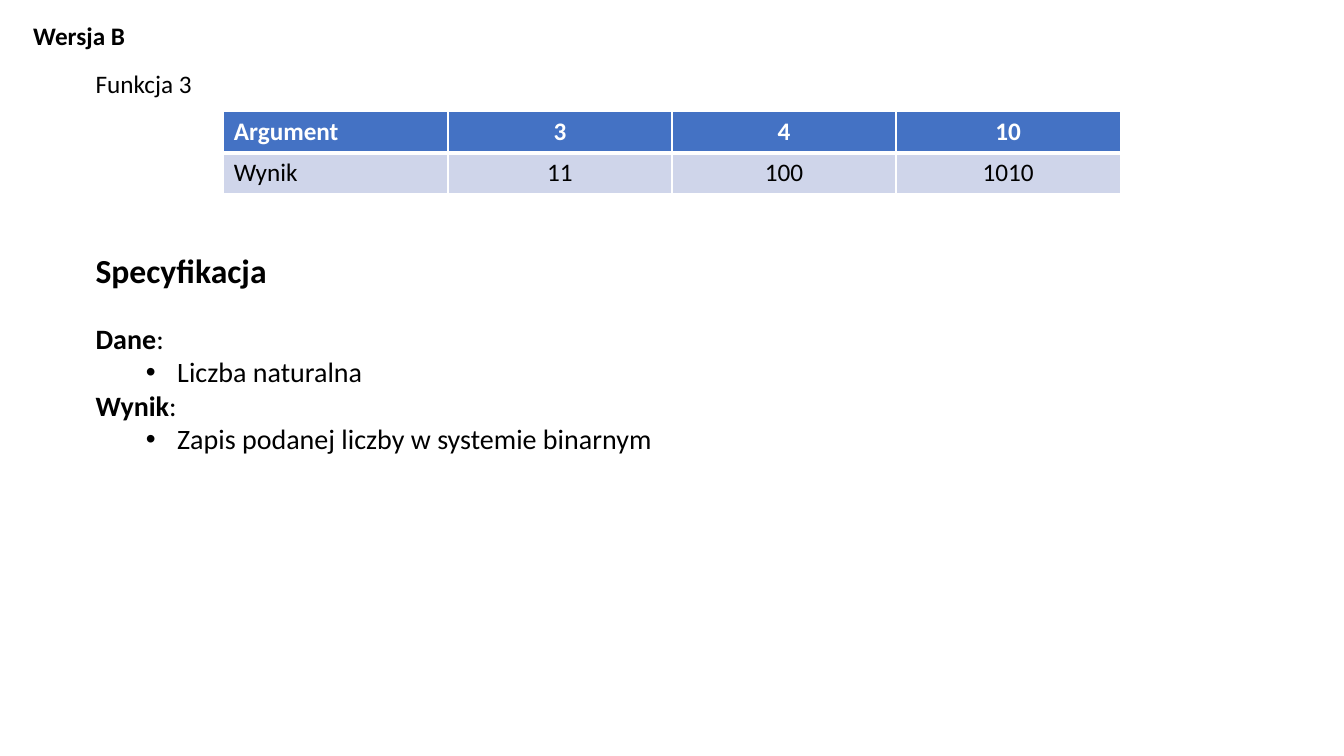
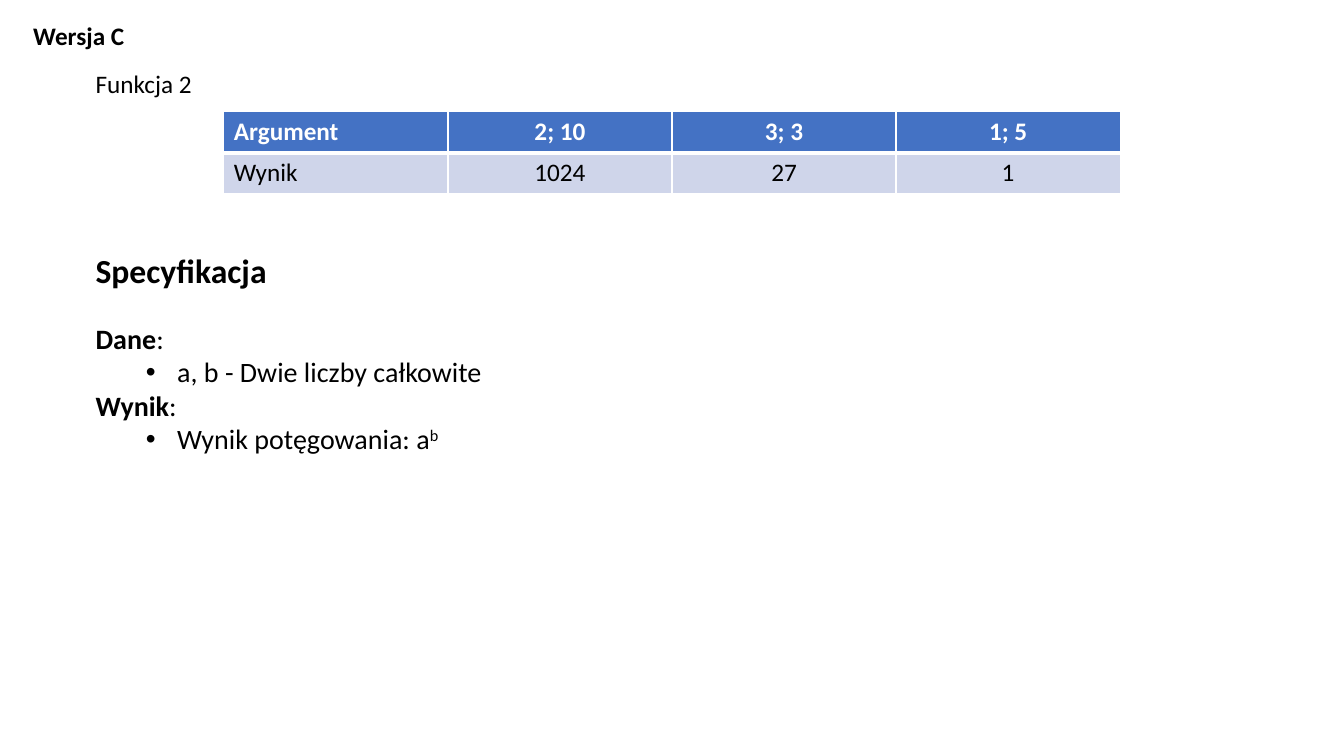
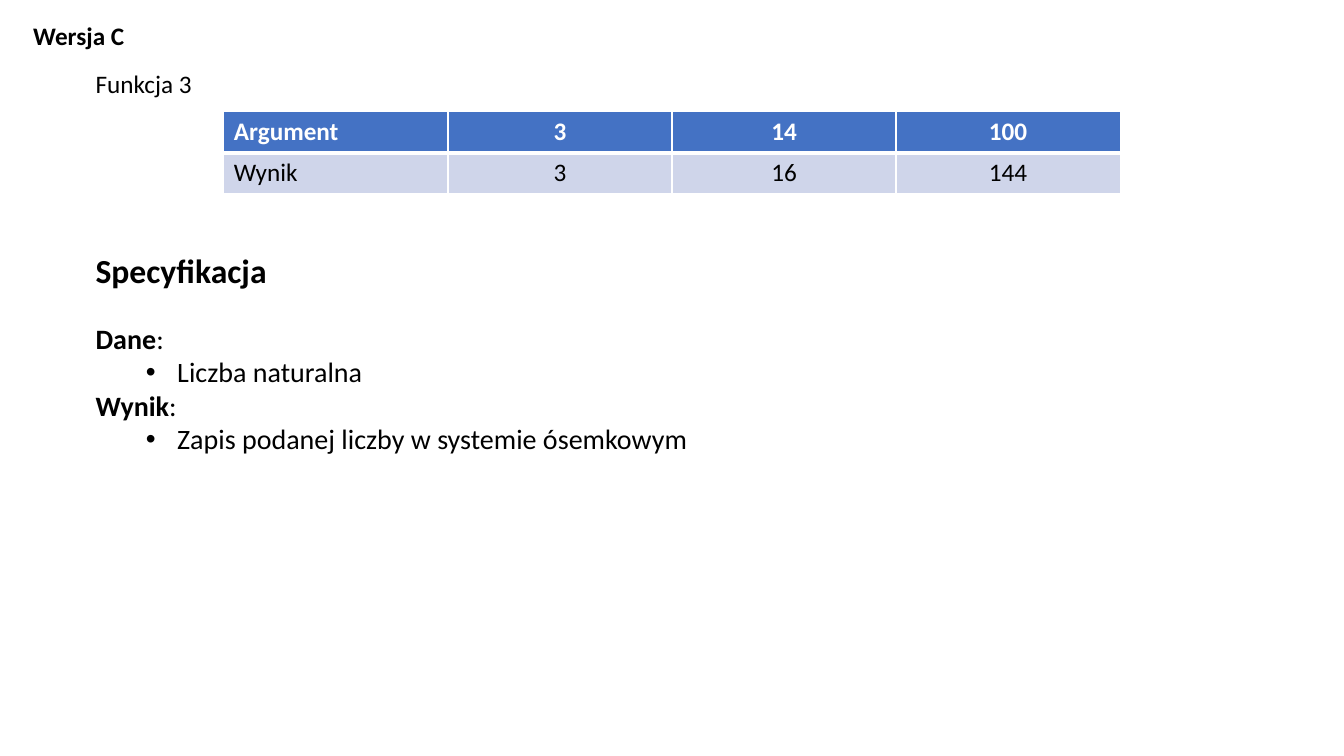
import dataclasses

import lxml.etree
import pptx
import pptx.dml.color
import pptx.enum.text
import pptx.oxml.ns
import pptx.util

Inches = pptx.util.Inches
Pt = pptx.util.Pt
RGBColor = pptx.dml.color.RGBColor
Align = pptx.enum.text.PP_ALIGN
qn = pptx.oxml.ns.qn


@dataclasses.dataclass(frozen=True)
class Theme:
    font: str = "Calibri"
    ink: str = "000000"
    white: str = "FFFFFF"
    header: str = "4472C4"
    band: str = "CFD5EA"
    label_size: int = 18
    body_size: int = 20
    heading_size: int = 24
    heading_gap: int = 22
    thin_border: int = 1
    thick_border: int = 3


THEME = Theme()

# Boxes shared by every slide: left, top, width, height in inches
VERSION_BOX = (0.23, 0.15, 1.12, 0.4)
FUNCTION_BOX = (0.85, 0.63, 1.77, 0.4)
TABLE_BOX = (2.22, 1.11, 8.89, 0.81)
SPECIFICATION_BOX = (0.85, 2.43, 10.26, 2.15)


def add_run(paragraph, text, size, bold=False, color=THEME.ink, superscript=False):
    run = paragraph.add_run()
    run.text = text
    run.font.name = THEME.font
    run.font.size = Pt(size)
    run.font.bold = bold
    run.font.color.rgb = RGBColor.from_string(color)
    if superscript:
        run.font._element.set("baseline", "30000")


def add_text_box(slide, box, wrap=True):
    text_frame = slide.shapes.add_textbox(*map(Inches, box)).text_frame
    text_frame.word_wrap = wrap
    text_frame.auto_size = pptx.enum.text.MSO_AUTO_SIZE.SHAPE_TO_FIT_TEXT
    return text_frame


def add_label(slide, box, text, bold=False, wrap=True):
    text_frame = add_text_box(slide, box, wrap)
    add_run(text_frame.paragraphs[0], text, THEME.label_size, bold)


def set_borders(cell, widths):
    """Draw white borders; widths run left, right, top, bottom."""
    properties = cell._tc.get_or_add_tcPr()
    for position, (side, width) in enumerate(zip("LRTB", widths)):
        line = lxml.etree.Element(qn(f"a:ln{side}"), w=str(Pt(width)))
        fill = lxml.etree.SubElement(line, qn("a:solidFill"))
        lxml.etree.SubElement(fill, qn("a:srgbClr"), val=THEME.white)
        properties.insert(position, line)


def add_example_table(slide, box, arguments, results):
    rows = [["Argument", *arguments], ["Wynik", *results]]
    frame = slide.shapes.add_table(len(rows), len(rows[0]), *map(Inches, box))
    table = frame.table
    table.horz_banding = False
    thin, thick = THEME.thin_border, THEME.thick_border
    # Fill, text colour, bold and borders of the header and result rows
    styles = [
        (THEME.header, THEME.white, True, (thin, thin, thin, thick)),
        (THEME.band, THEME.ink, False, (thin, thin, thick, thin)),
    ]
    for row_index, (row, style) in enumerate(zip(rows, styles)):
        fill, color, bold, borders = style
        for column_index, text in enumerate(row):
            cell = table.cell(row_index, column_index)
            cell.fill.solid()
            cell.fill.fore_color.rgb = RGBColor.from_string(fill)
            set_borders(cell, borders)
            paragraph = cell.text_frame.paragraphs[0]
            paragraph.alignment = Align.CENTER if column_index else Align.LEFT
            add_run(paragraph, text, THEME.label_size, bold, color)


def make_bullet(paragraph):
    paragraph.level = 1
    properties = paragraph._p.get_or_add_pPr()
    properties.set("marL", str(Inches(0.81)))
    properties.set("indent", str(Inches(-0.31)))
    lxml.etree.SubElement(properties, qn("a:buFont"), typeface="Arial")
    lxml.etree.SubElement(properties, qn("a:buChar"), char="•")


def add_specification(slide, box, data, result, exponent):
    text_frame = add_text_box(slide, box)
    add_run(text_frame.paragraphs[0], "Specyfikacja", THEME.heading_size, bold=True)
    for title, item, power in (("Dane", data, ""), ("Wynik", result, exponent)):
        term = text_frame.add_paragraph()
        if title == "Dane":
            term.space_before = Pt(THEME.heading_gap)
        add_run(term, title, THEME.body_size, bold=True)
        add_run(term, ":", THEME.body_size)
        bullet = text_frame.add_paragraph()
        make_bullet(bullet)
        add_run(bullet, item, THEME.body_size)
        if power:
            add_run(bullet, power, THEME.body_size, superscript=True)


def add_function_slide(presentation, version, function, arguments, results,
                       data, result, exponent=""):
    slide = presentation.slides.add_slide(presentation.slide_layouts[6])
    add_label(slide, FUNCTION_BOX, function)
    add_example_table(slide, TABLE_BOX, arguments, results)
    add_label(slide, VERSION_BOX, version, bold=True, wrap=False)
    add_specification(slide, SPECIFICATION_BOX, data, result, exponent)


def main():
    presentation = pptx.Presentation()
    presentation.slide_width = Inches(13.33)
    presentation.slide_height = Inches(7.5)

    add_function_slide(
        presentation, "Wersja B", "Funkcja 3",
        ["3", "4", "10"], ["11", "100", "1010"],
        "Liczba naturalna", "Zapis podanej liczby w systemie binarnym")
    add_function_slide(
        presentation, "Wersja C", "Funkcja 2",
        ["2; 10", "3; 3", "1; 5"], ["1024", "27", "1"],
        "a, b - Dwie liczby całkowite", "Wynik potęgowania: a", exponent="b")
    add_function_slide(
        presentation, "Wersja C", "Funkcja 3",
        ["3", "14", "100"], ["3", "16", "144"],
        "Liczba naturalna", "Zapis podanej liczby w systemie ósemkowym")

    presentation.save("out.pptx")


main()
